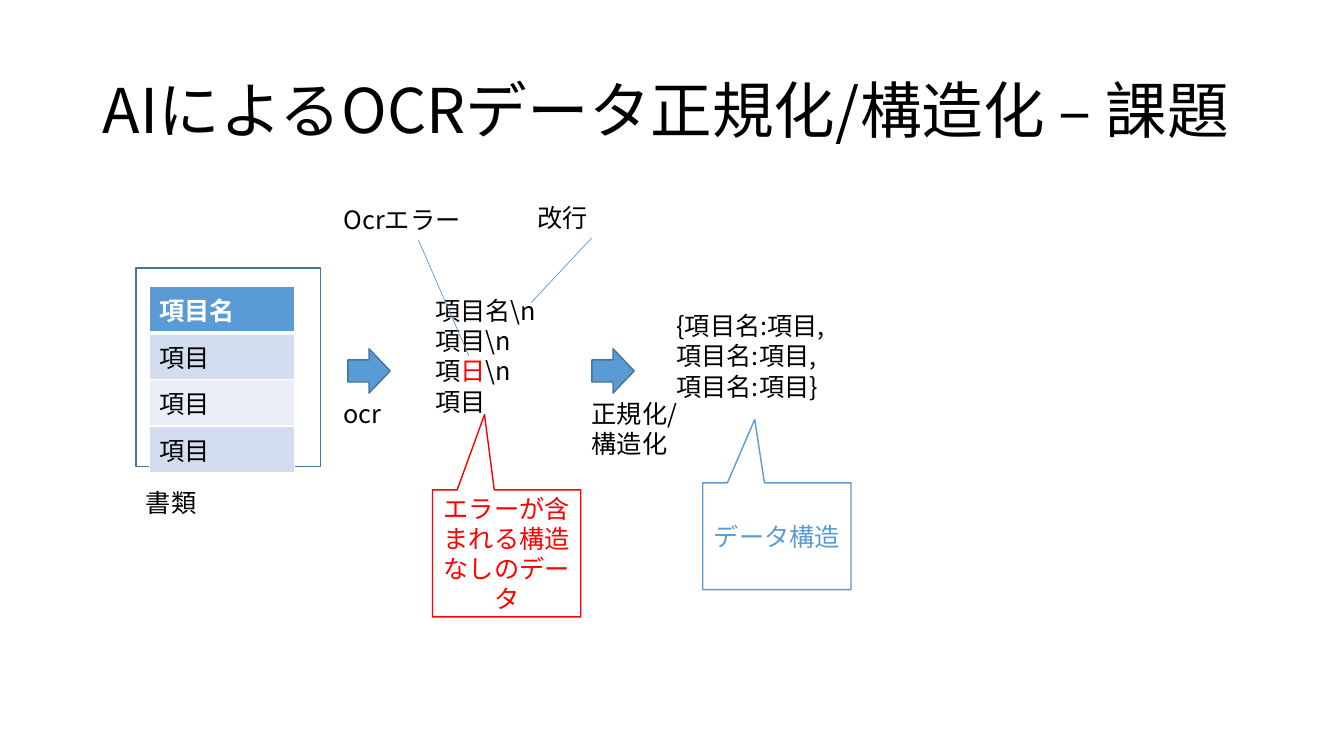
from dataclasses import dataclass

from lxml import etree
from pptx import Presentation
from pptx.dml.color import RGBColor
from pptx.enum.shapes import MSO_CONNECTOR, MSO_SHAPE
from pptx.enum.text import MSO_ANCHOR, MSO_AUTO_SIZE, PP_ALIGN
from pptx.oxml.ns import qn
from pptx.shapes.autoshape import Shape
from pptx.slide import Slide
from pptx.table import _Cell as Cell
from pptx.text.text import _Paragraph as Paragraph
from pptx.util import Inches, Pt

FONT = "Noto Sans CJK JP"
BLACK = RGBColor(0x00, 0x00, 0x00)
WHITE = RGBColor(0xFF, 0xFF, 0xFF)
RED = RGBColor(0xFF, 0x00, 0x00)
BLUE = RGBColor(0x5B, 0x9B, 0xD5)
DARK_BLUE = RGBColor(0x43, 0x73, 0x9E)
BAND_DARK = RGBColor(0xD2, 0xDE, 0xEF)
BAND_LIGHT = RGBColor(0xEA, 0xEF, 0xF7)


@dataclass
class Box:
    left: float
    top: float
    width: float
    height: float
    text: str = ""
    color: RGBColor = BLACK


@dataclass
class Pointer:
    start: tuple[float, float]
    end: tuple[float, float]


LABELS = [
    Box(6.61, 3.03, 2.72, 1.01, "{項目名:項目,\n項目名:項目,\n項目名:項目}"),
    Box(3.31, 3.9, 1.34, 0.4, "ocr"),
    Box(5.77, 3.9, 1.34, 0.71, "正規化/\n構造化"),
    Box(1.35, 4.79, 1.34, 0.4, "書類"),
    Box(5.23, 1.96, 1.28, 0.4, "改行"),
    Box(3.31, 1.98, 1.7, 0.4, "Ocrエラー"),
]
OCR_RESULT = Box(4.22, 2.88, 1.34, 1.31, "項目名\\n\n項目\\n\n項\n項目")
DOCUMENT = Box(1.35, 2.66, 1.83, 1.97)
ARROWS = [Box(left, 3.47, 0.44, 0.42) for left in (3.44, 5.86)]
POINTERS = [
    Pointer((4.15, 2.38), (4.65, 3.53)),
    Pointer((5.87, 2.36), (5.27, 3)),
]
CALLOUTS = [
    Box(6.97, 4.79, 1.47, 1.06, "データ構造", BLUE),
    Box(4.29, 4.86, 1.47, 1.26, "エラーが含まれる構造なしのデータ", RED),
]
CALLOUT_TIP = (-0.149, -1.093)
TABLE = Box(1.48, 2.84, 1.44, 1.6)
ROWS = [("項目名", BLUE), ("項目", BAND_DARK), ("項目", BAND_LIGHT), ("項目", BAND_DARK)]


def style_runs(para: Paragraph, color: RGBColor = BLACK, size: int = 18,
               bold: bool = False) -> None:
    for span in para.runs:
        span.font.name = FONT
        span.font.size = Pt(size)
        span.font.bold = bold
        span.font.color.rgb = color
        east_asian = etree.SubElement(span.font._element, qn("a:ea"))
        east_asian.set("typeface", FONT)


def place(item: Box) -> tuple[int, int, int, int]:
    return (Inches(item.left), Inches(item.top),
            Inches(item.width), Inches(item.height))


def add_title(page: Slide) -> None:
    title = page.shapes.title
    title.left, title.top, title.width, title.height = place(Box(0.92, 0.4, 11.5, 1.45))
    frame = title.text_frame
    frame.text = "AIによるOCRデータ正規化/構造化 – 課題"
    frame.word_wrap = True
    frame.auto_size = MSO_AUTO_SIZE.NONE
    frame.vertical_anchor = MSO_ANCHOR.MIDDLE
    para = frame.paragraphs[0]
    para.alignment = PP_ALIGN.LEFT
    para.line_spacing = 0.9
    style_runs(para, size=44)


def add_label(page: Slide, item: Box) -> Shape:
    label = page.shapes.add_textbox(*place(item))
    frame = label.text_frame
    frame.word_wrap = True
    frame.auto_size = MSO_AUTO_SIZE.SHAPE_TO_FIT_TEXT
    frame.text = item.text
    for para in frame.paragraphs:
        style_runs(para, item.color)
    return label


def add_ocr_result(page: Slide) -> None:
    """Draw the recognised lines, with the misread character in red."""
    misread = add_label(page, OCR_RESULT).text_frame.paragraphs[2]
    for text in ("日", "\\n"):
        misread.add_run().text = text
    style_runs(misread)
    misread.runs[1].font.color.rgb = RED


def add_outline(page: Slide, kind: MSO_SHAPE, item: Box, line: RGBColor) -> Shape:
    """Draw an unfilled shape with a one-point line."""
    shape = page.shapes.add_shape(kind, *place(item))
    shape.shadow.inherit = False
    shape.fill.background()
    shape.line.color.rgb = line
    shape.line.width = Pt(1)
    return shape


def add_arrow(page: Slide, item: Box) -> None:
    arrow = add_outline(page, MSO_SHAPE.DOWN_ARROW, item, DARK_BLUE)
    arrow.fill.solid()
    arrow.fill.fore_color.rgb = BLUE
    arrow.rotation = 270


def add_callout(page: Slide, item: Box) -> None:
    callout = add_outline(page, MSO_SHAPE.RECTANGULAR_CALLOUT, item, item.color)
    for index, offset in enumerate(CALLOUT_TIP):
        callout.adjustments[index] = offset
    frame = callout.text_frame
    frame.word_wrap = True
    frame.vertical_anchor = MSO_ANCHOR.MIDDLE
    frame.text = item.text
    para = frame.paragraphs[0]
    para.alignment = PP_ALIGN.CENTER
    style_runs(para, item.color)


def add_pointer(page: Slide, pointer: Pointer) -> None:
    ends = [Inches(value) for value in pointer.start + pointer.end]
    line = page.shapes.add_connector(MSO_CONNECTOR.STRAIGHT, *ends)
    line.line.color.rgb = BLUE
    line.line.width = Pt(0.5)
    etree.SubElement(line._element.spPr, qn("a:effectLst"))


def set_borders(cell: Cell, top: int, bottom: int) -> None:
    """Give a cell white borders, with the top and bottom widths in points."""
    properties = cell._tc.get_or_add_tcPr()
    for side, width in (("L", 1), ("R", 1), ("T", top), ("B", bottom)):
        border = etree.SubElement(properties, qn(f"a:ln{side}"), w=str(Pt(width)))
        fill = etree.SubElement(border, qn("a:solidFill"))
        etree.SubElement(fill, qn("a:srgbClr"), val=str(WHITE))


def add_item_table(page: Slide) -> None:
    table = page.shapes.add_table(len(ROWS), 1, *place(TABLE)).table
    for index, (text, color) in enumerate(ROWS):
        cell = table.cell(index, 0)
        header = index == 0
        set_borders(cell, top=3 if index == 1 else 1, bottom=3 if header else 1)
        cell.fill.solid()
        cell.fill.fore_color.rgb = color
        cell.text_frame.text = text
        style_runs(cell.text_frame.paragraphs[0], WHITE if header else BLACK, bold=header)


def main() -> None:
    deck = Presentation()
    deck.slide_width, deck.slide_height = Inches(13.33), Inches(7.5)
    page = deck.slides.add_slide(deck.slide_layouts.get_by_name("Title Only"))
    add_title(page)
    add_outline(page, MSO_SHAPE.RECTANGLE, DOCUMENT, DARK_BLUE)
    add_item_table(page)
    add_ocr_result(page)
    for arrow in ARROWS:
        add_arrow(page, arrow)
    for label in LABELS:
        add_label(page, label)
    for pointer in POINTERS:
        add_pointer(page, pointer)
    for callout in CALLOUTS:
        add_callout(page, callout)
    deck.save("out.pptx")


if __name__ == "__main__":
    main()
